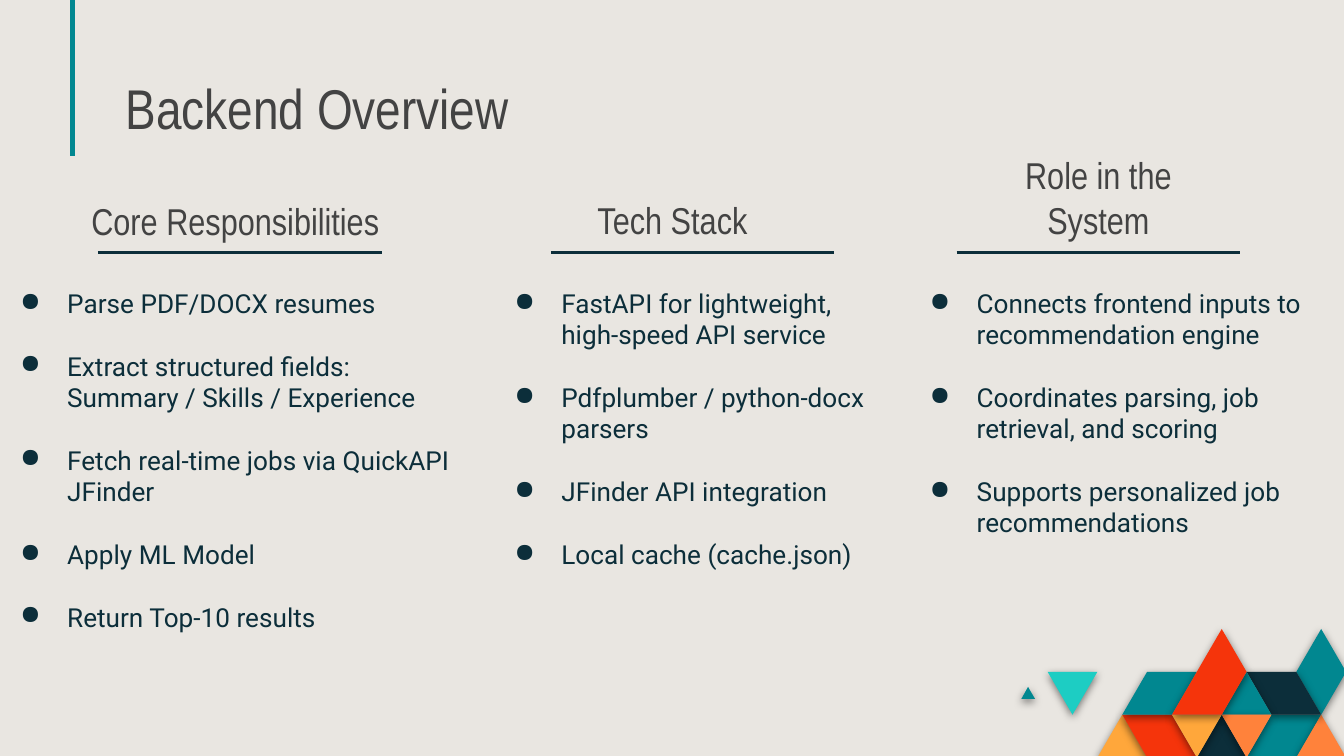
import pptx
import pptx.dml.color
import pptx.enum.shapes
import pptx.enum.text
import pptx.oxml
import pptx.oxml.ns
import pptx.util

Cm, Pt = pptx.util.Cm, pptx.util.Pt
ALIGN, ANCHOR = pptx.enum.text.PP_ALIGN, pptx.enum.text.MSO_ANCHOR
NS = pptx.oxml.ns.nsdecls("a")

COLORS = {
    "paper": "E9E6E1", "ink": "0C2E3A", "heading": "434343", "teal": "018790",
    "cyan": "1DCDC3", "red": "F5340B", "orange": "FF823B", "amber": "FFA73B",
}
SHADOW = (
    f'<a:effectLst {NS}><a:outerShdw blurRad="57150" dist="19050" dir="5400000" '
    'algn="bl" rotWithShape="0"><a:srgbClr val="000000"><a:alpha val="50000"/>'
    '</a:srgbClr></a:outerShdw></a:effectLst>'
)
GRID_LEFT, GRID_TOP, HALF_SIDE, ROW_HEIGHT = 19.8, 11.89, 0.47, 0.81
RULE_Y, RULE_WIDTH, BODY_TOP = 4.78, 5.36, 5.18

TILES = [
    ("ink", [(6, 3), (7, 2), (8, 3)]),
    ("amber", [(2, 3), (3, 2), (4, 3)]),
    ("red", [(3, 2), (5, 2), (6, 3), (4, 3)]),
    ("teal", [(8, 3), (9, 2), (11, 2), (10, 3)]),
    ("orange", [(10, 3), (11, 2), (12, 3)]),
    ("teal", [(3, 2), (4, 1), (6, 1), (5, 2)]),
    ("teal", [(-1.06, 1.63), (-0.79, 1.35), (-0.51, 1.63)]),
    ("cyan", [(0, 1), (2, 1), (1, 2)]),
    ("teal", [(10, 1), (11, 0), (12, 1), (11, 2)]),
    ("ink", [(8, 1), (10, 1), (11, 2), (9, 2)]),
    ("teal", [(7, 2), (8, 1), (9, 2)]),
    ("orange", [(7, 2), (9, 2), (8, 3)]),
    ("amber", [(5, 2), (7, 2), (6, 3)]),
    ("red", [(5, 2), (7, 0), (8, 1), (7, 2)]),
]

# heading, heading box, rule left, body left / width / height, bullets
COLUMNS = [
    ("Core Responsibilities", (0.64, 3.81, 7.62, 1.04), 1.85, (-0.25, 9.58, 8.1), [
        "Parse PDF/DOCX resumes",
        "Extract structured fields: Summary / Skills / Experience",
        "Fetch real-time jobs via QuickAPI JFinder",
        "Apply ML Model",
        "Return Top-10 results",
    ]),
    ("Tech Stack", (10.06, 3.51, 5.3, 1.32), 10.41, (9.09, 8, 6.83), [
        "FastAPI for lightweight, high-speed API service",
        "Pdfplumber / python-docx parsers",
        "JFinder API integration",
        "Local cache (cache.json)",
    ]),
    ("Role in the System", (18.11, 3.51, 5.3, 1.32), 18.08, (16.94, 8.46, 6.83), [
        "Connects frontend inputs to recommendation engine",
        "Coordinates parsing, job retrieval, and scoring",
        "Supports personalized job recommendations",
    ]),
]


class Deck:
    """Holds the style and the current slide, and draws each kind of element."""

    def __init__(self, prs):
        self.slide = prs.slides.add_slide(prs.slide_layouts[6])
        self.shapes = self.slide.shapes
        fill = self.slide.background.fill
        fill.solid()
        fill.fore_color.rgb = self.color("paper")

    def color(self, name):
        return pptx.dml.color.RGBColor.from_string(COLORS[name])

    def line(self, x1, y1, x2, y2, color, width):
        s = self.shapes.add_connector(
            pptx.enum.shapes.MSO_CONNECTOR.STRAIGHT, Cm(x1), Cm(y1), Cm(x2), Cm(y2))
        s.line.color.rgb = self.color(color)
        s.line.width = Pt(width)
        s._element.spPr.append(pptx.oxml.parse_xml(f"<a:effectLst {NS}/>"))

    def tile(self, color, corners):
        points = [(Cm(GRID_LEFT + HALF_SIDE * col), Cm(GRID_TOP + ROW_HEIGHT * row))
                  for col, row in corners]
        builder = self.shapes.build_freeform(*points[0])
        builder.add_line_segments(points[1:], close=True)
        s = builder.convert_to_shape()
        s.fill.solid()
        s.fill.fore_color.rgb = self.color(color)
        s.line.fill.background()
        s._element.spPr.append(pptx.oxml.parse_xml(SHADOW))

    def text(self, box, lines, font, size, color, anchor=ANCHOR.BOTTOM, align=ALIGN.LEFT):
        tf = self.shapes.add_textbox(*map(Cm, box)).text_frame
        tf.word_wrap = True
        tf.vertical_anchor = anchor
        tf.margin_left = tf.margin_right = tf.margin_top = tf.margin_bottom = Cm(0.25)
        tf.text = "\n".join(lines)
        for p in tf.paragraphs:
            p.alignment = align
            for r in p.runs:
                r.font.name = font
                r.font.size = Pt(size)
                r.font.color.rgb = self.color(color)
        return tf

    def heading(self, box, text, size, align=ALIGN.LEFT):
        return self.text(box, [text], "Arial Narrow", size, "heading", align=align)

    def bullets(self, box, items):
        tf = self.text(box, items, "Roboto", 14, "ink", ANCHOR.TOP)
        for p in tf.paragraphs:
            p.space_after = Pt(16.8)
            pPr = p._p.get_or_add_pPr()
            pPr.set("marL", str(Cm(1.27)))
            pPr.set("indent", str(Cm(-0.89)))
            pPr.append(pptx.oxml.parse_xml(
                f'<a:buClr {NS}><a:srgbClr val="{COLORS["ink"]}"/></a:buClr>'))
            pPr.append(pptx.oxml.parse_xml(f'<a:buChar {NS} char="●"/>'))


def main():
    prs = pptx.Presentation()
    prs.slide_width, prs.slide_height = Cm(25.4), Cm(14.29)
    deck = Deck(prs)
    deck.line(1.37, 0, 1.37, 2.95, "teal", 2.25)
    for color, corners in TILES:
        deck.tile(color, corners)
    title = deck.heading((2.13, 1.3, 10.57, 1.6), "Backend Overview", 30)
    title.paragraphs[0].line_spacing = 0.8
    for name, box, rule_left, (left, width, height), items in COLUMNS:
        deck.line(rule_left, RULE_Y, rule_left + RULE_WIDTH, RULE_Y, "ink", 1.5)
        deck.heading(box, name, 20, ALIGN.CENTER)
        deck.bullets((left, BODY_TOP, width, height), items)
    prs.save("out.pptx")


if __name__ == "__main__":
    main()
